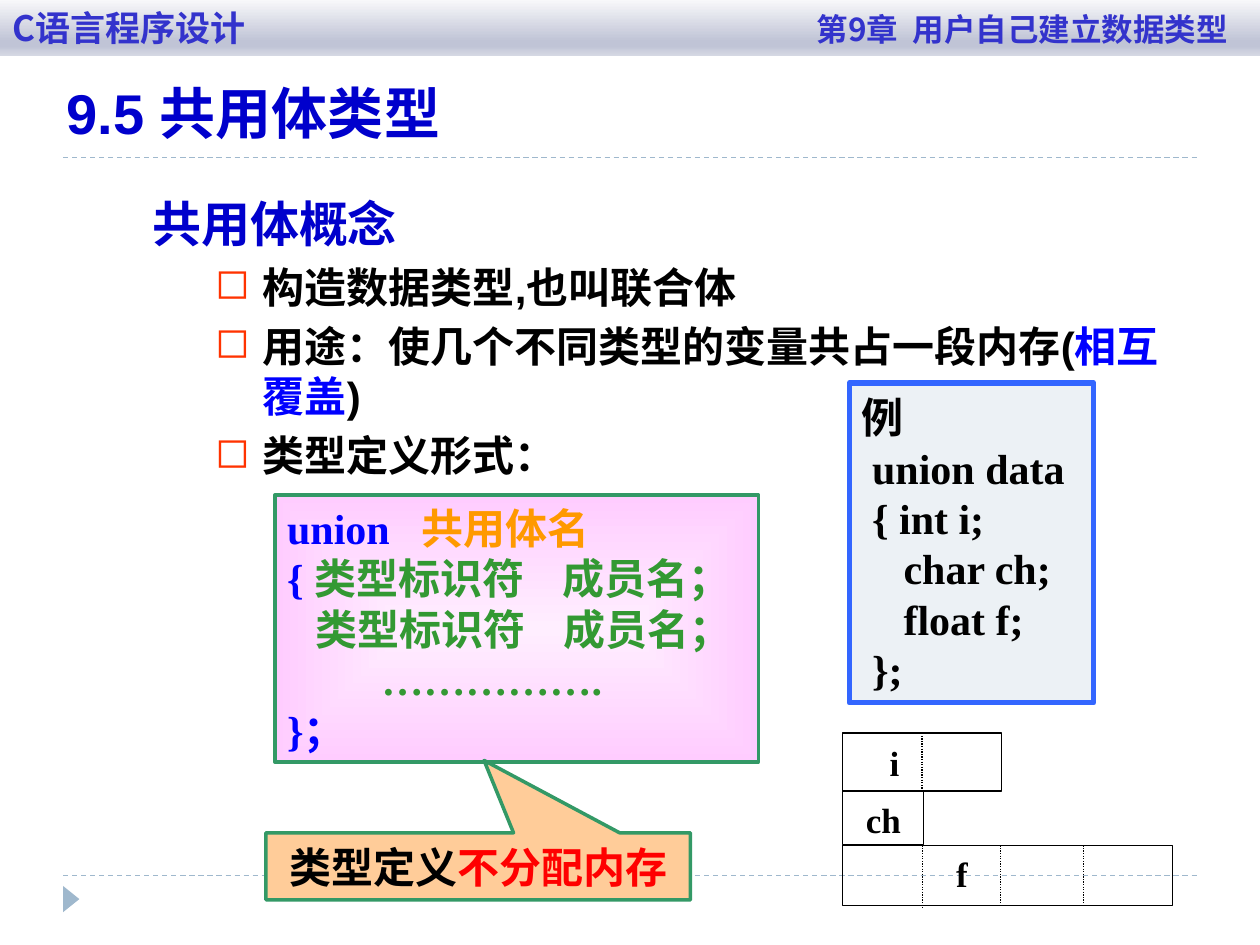
from lxml import etree
from pptx import Presentation
from pptx import util as u
from pptx.dml.color import RGBColor
from pptx.enum import dml, shapes, text
from pptx.oxml import ns

Cm, Pt = u.Cm, u.Pt
FORM = shapes.MSO_SHAPE
SERIF = "Times New Roman"
HUES = {
    "navy": "0000CC", "blue": "0000FF", "black": "000000", "red": "FF0000",
    "green": "339933", "orange": "FF9900", "slate": "464653", "head": "3333CC",
    "rule": "9FB8CD", "edge": "339966", "frame": "3366FF", "pale": "ECF1F5",
    "peach": "FFCC99", "bullet": "FF3300", "light": "FFEEFF", "pink": "FFCCFF",
    "sky": "F8F8FA", "steel": "C0C4D6", "mist": "D5D8E3",
}


def hue(name):
    return RGBColor.from_string(HUES[name])


def sub(node, tag, **attrs):
    return etree.SubElement(node, ns.qn("a:" + tag), attrs)


def add_box(page, form, spot, fill=None, line=None, width=0.75):
    box = page.shapes.add_shape(form, *map(Cm, spot))
    box.shadow.inherit = False
    if fill:
        box.fill.solid()
        box.fill.fore_color.rgb = hue(fill)
    else:
        box.fill.background()
    if line:
        box.line.color.rgb = hue(line)
        box.line.width = Pt(width)
    else:
        box.line.fill.background()
    return box


def blend(box, stops, tag, **attrs):
    """Fill a box with gradient stops; return the direction element."""
    box.fill.gradient()
    grad = box._element.spPr.find(ns.qn("a:gradFill"))
    for child in list(grad):
        grad.remove(child)
    row = sub(grad, "gsLst")
    for pos, name in stops:
        stop = sub(row, "gs", pos=str(pos * 1000))
        sub(stop, "srgbClr", val=HUES[name])
    return sub(grad, tag, **attrs)


def add_line(page, start, end, color, dash):
    line = page.shapes.add_connector(
        shapes.MSO_CONNECTOR.STRAIGHT, *map(Cm, start + end))
    line.line.color.rgb = hue(color)
    line.line.width = Pt(0.75)
    line.line.dash_style = dash
    sub(line._element.spPr, "effectLst")
    return line


def add_label(page, spot):
    return page.shapes.add_textbox(*map(Cm, spot))


def write(box, rows, size, font=SERIF, center=False, wrap=True, middle=True):
    """Each row is a list of (words, color) runs."""
    frame = box.text_frame
    frame.word_wrap = wrap
    anchor = text.MSO_ANCHOR
    frame.vertical_anchor = anchor.MIDDLE if middle else anchor.TOP
    align = text.PP_ALIGN.CENTER if center else text.PP_ALIGN.LEFT
    for i, row in enumerate(rows):
        para = frame.paragraphs[0] if i == 0 else frame.add_paragraph()
        para.alignment = align
        style(para, size, font)
        add_runs(para, row)
    return frame


def style(para, size, font):
    para.font.name = font
    para.font.size = Pt(size)
    para.font.bold = True


def add_runs(para, row):
    for words, color in row:
        run = para.add_run()
        run.text = words
        run.font.color.rgb = hue(color)
    return para


def add_header(page):
    bar = add_box(page, FORM.RECTANGLE, (0, 0, 25.4, 1.12))
    blend(bar, [(0, "sky"), (74, "steel"), (83, "steel"), (100, "mist")],
          "lin", ang="5400000", scaled="0")
    frame = bar.text_frame
    frame.vertical_anchor = text.MSO_ANCHOR.MIDDLE
    para = frame.paragraphs[0]
    para.alignment = text.PP_ALIGN.LEFT
    tabs = sub(para._p.get_or_add_pPr(), "tabLst")
    sub(tabs, "tab", pos=str(Cm(24.5)), algn="r")
    para.font.name = "Noto Sans CJK JP"
    para.font.bold = True
    add_runs(para, [("C语言程序设计\t", "head"),
                    ("第9章  用户自己建立数据类型", "head")])
    for run, size in zip(para.runs, (20, 18)):
        run.font.size = Pt(size)


def add_body(page):
    box = add_label(page, (1.55, 3.78, 22.1, 5.46))
    frame = write(box, [[("共用体概念", "navy")]], 28, "Arial", middle=False)
    frame.paragraphs[0]._p.get_or_add_pPr().set("marL", str(Cm(1.27)))
    points = [
        [("构造数据类型,也叫联合体", "black")],
        [("用途：使几个不同类型的变量共占一段内存(", "black"),
         ("相互覆盖", "blue"), (")", "black")],
        [("类型定义形式：", "black")],
    ]
    for point in points:
        para = frame.add_paragraph()
        para.level = 1
        para.space_before = Pt(5)
        props = para._p.get_or_add_pPr()
        props.set("marL", str(Cm(3.5)))
        props.set("indent", str(Cm(-0.96)))
        sub(sub(props, "buClr"), "srgbClr", val=HUES["bullet"])
        sub(props, "buChar", char="◻")
        style(para, 24, "Arial")
        add_runs(para, point)


def add_syntax(page):
    box = add_box(page, FORM.RECTANGLE, (5.54, 9.98, 9.75, 5.38),
                  line="edge", width=2)
    way = blend(box, [(0, "light"), (100, "pink")], "path", path="shape")
    sub(way, "fillToRect", l="50000", t="50000", r="50000", b="50000")
    member = "类型标识符    成员名；"
    write(box, [
        [("union   ", "blue"), ("共用体名", "orange")],
        [("{ ", "blue"), (member, "green")],
        [("   " + member, "green")],
        [("         ", "slate"), ("…………….", "green")],
        [("}；", "blue")],
    ], 24, wrap=False)


def add_sample(page):
    box = add_box(page, FORM.RECTANGLE, (17.12, 7.72, 4.93, 6.45),
                  "pale", "frame", 3)
    code = ["例", " union data", " { int i;", "    char ch;",
            "    float f;", " };"]
    write(box, [[(row, "black")] for row in code], 24, wrap=False)


def add_memory(page):
    left, dot = 16.99, dml.MSO_LINE.ROUND_DOT
    # One row per member: top, width, height
    cells = [(14.78, 3.2, 1.17), (15.95, 1.63, 1.07), (17.04, 6.65, 1.22)]
    boxes = [add_box(page, FORM.RECTANGLE, (left, top, wide, high),
                     line="black") for top, wide, high in cells]
    # Byte dividers
    split = add_line(page, (18.59, 14.78), (18.59, 15.95), "black", dot)
    split.begin_connect(boxes[0], 0)
    split.end_connect(boxes[0], 2)
    for x, end in ((18.59, 18.31), (20.17, 18.21), (21.84, 18.21)):
        add_line(page, (x, 17.04), (x, end), "black", dot)
    # Member names
    for name, x, y, wide in (("f", 19.02, 17.07, 0.74),
                             ("ch", 17.2, 15.98, 1.22),
                             ("i", 17.68, 14.83, 0.71)):
        label = add_label(page, (x, y, wide, 1.09))
        write(label, [[(name, "black")]], 20, center=True, wrap=False)


def add_note(page):
    note = add_box(page, FORM.RECTANGULAR_CALLOUT, (5.36, 16.79, 8.56, 1.35),
                   "peach", "edge", 2)
    note.adjustments[0] = 0.014
    note.adjustments[1] = -1.582
    write(note, [[("类型定义", "black"), ("不分配内存", "red")]], 24,
          center=True)


def main():
    deck = Presentation()
    deck.slide_width, deck.slide_height = Cm(25.4), Cm(19.05)
    page = deck.slides.add_slide(deck.slide_layouts[6])
    # Frame of the page
    for y in (17.65, 3.18):
        add_line(page, (1.27, y), (24.13, y), "rule", dml.MSO_LINE.DASH)
    mark = add_box(page, FORM.ISOSCELES_TRIANGLE, (1.17, 17.96, 0.53, 0.33),
                   "rule")
    mark.rotation = 90
    # Content
    add_body(page)
    add_syntax(page)
    add_sample(page)
    add_memory(page)
    add_note(page)
    # Header and title
    add_header(page)
    title = add_label(page, (1.09, 1.45, 21.56, 2.18))
    write(title, [[("9.5 共用体类型", "navy")]], 32, "Arial", middle=False)
    deck.save("out.pptx")


if __name__ == "__main__":
    main()
